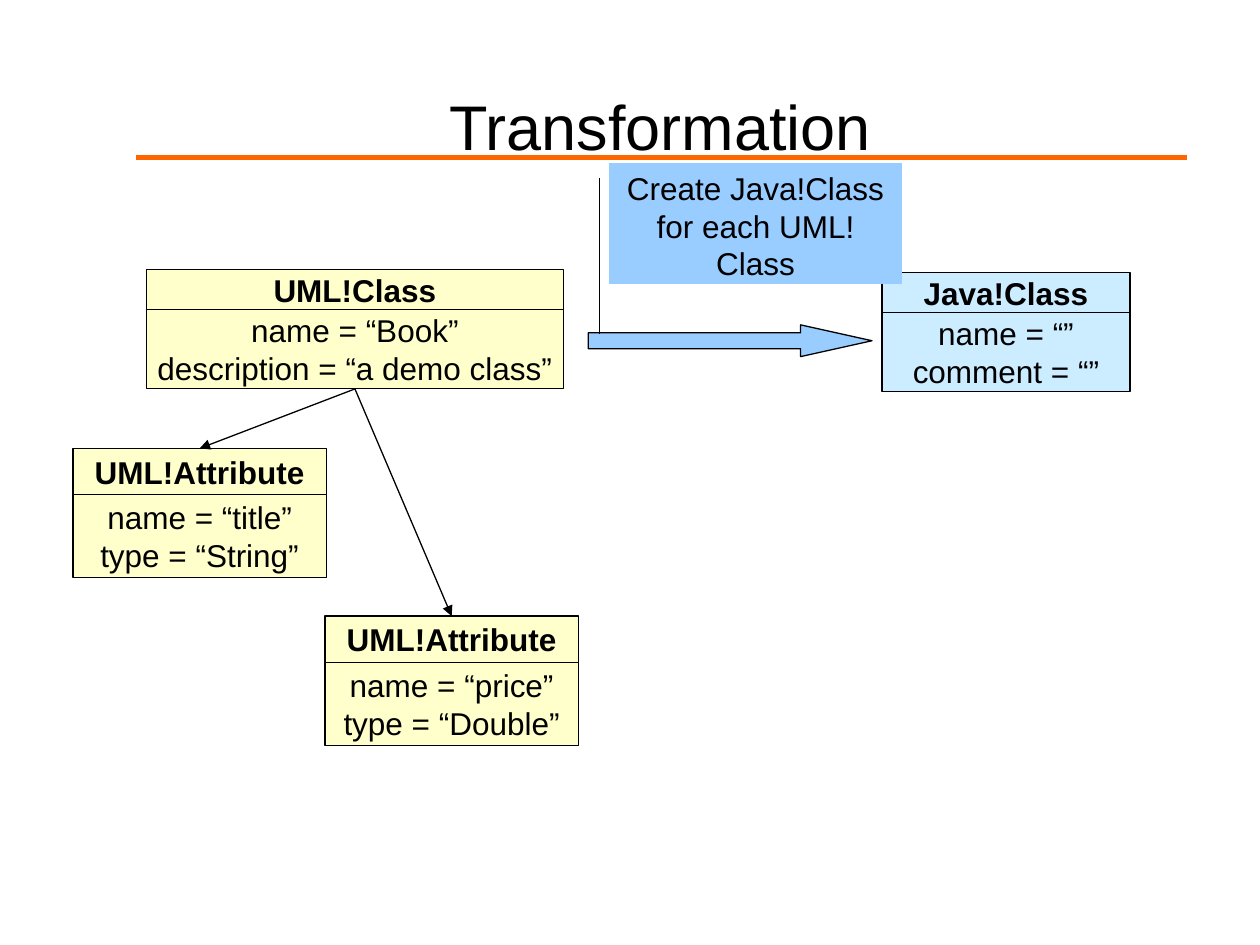
from lxml import etree
from pptx import Presentation
from pptx.dml.color import RGBColor
from pptx.enum.shapes import MSO_CONNECTOR, MSO_SHAPE
from pptx.enum.text import MSO_ANCHOR, PP_ALIGN
from pptx.oxml.ns import qn
from pptx.util import Cm, Pt

THEME = {
    "font": "Arial", "title_size": 36, "body_size": 18,
    "text": "000000", "line": "000000", "rule": "FF6600",
    "source": "FFFFCC", "target": "CCECFF", "action": "99CCFF",
    "thin": 0.75, "thick": 2.75,
}

# Content: lengths in cm; "heights" are the name and attribute compartments
TITLE = "Transformation"
RULE_TEXT = "Create Java!Class for each UML!Class"
JAVA_CLASS = {
    "name": "Java!Class", "slots": ["name = “”", "comment = “”"],
    "left": 17.78, "top": 5.5, "width": 5, "heights": (0.8, 1.6), "fill": "target",
}
UML_CLASS = {
    "name": "UML!Class", "slots": ["name = “Book”", "description = “a demo class”"],
    "left": 2.95, "top": 5.44, "width": 8.41, "heights": (0.8, 1.6), "fill": "source",
}
ATTRIBUTE = {"name": "UML!Attribute", "width": 5.11, "heights": (0.93, 1.68), "fill": "source"}
ATTRIBUTES = [
    {**ATTRIBUTE, "slots": ["name = “title”", "type = “String”"], "left": 1.47, "top": 9.04},
    {**ATTRIBUTE, "slots": ["name = “price”", "type = “Double”"], "left": 6.55, "top": 12.42},
]


def color(key):
    return RGBColor.from_string(THEME[key])


def write(shape, text, size="body_size", bold=False, wrap=True, anchor=MSO_ANCHOR.MIDDLE):
    frame = shape.text_frame
    frame.text = text
    frame.word_wrap = wrap
    frame.vertical_anchor = anchor
    for para in frame.paragraphs:
        para.alignment = PP_ALIGN.CENTER
        for span in para.runs:
            span.font.name = THEME["font"]
            span.font.size = Pt(THEME[size])
            span.font.bold = bold
            span.font.color.rgb = color("text")


def add_box(shapes, kind, left, top, width, height, fill):
    box = shapes.add_shape(kind, Cm(left), Cm(top), Cm(width), Cm(height))
    box.shadow.inherit = False
    box.fill.solid()
    box.fill.fore_color.rgb = color(fill)
    box.line.color.rgb = color("line")
    box.line.width = Pt(THEME["thin"])
    return box


def add_object(page, item):
    """Draw a grouped two-compartment box and return its compartments."""
    shapes = page.shapes.add_group_shape().shapes
    top, boxes = item["top"], []
    for text, height, bold in zip((item["name"], "\n".join(item["slots"])),
                                  item["heights"], (True, False)):
        box = add_box(shapes, MSO_SHAPE.RECTANGLE, item["left"], top,
                      item["width"], height, item["fill"])
        write(box, text, bold=bold, wrap=False)
        boxes.append(box)
        top += height
    return boxes


def add_line(page, left, right, y, line_color, width):
    line = page.shapes.add_connector(MSO_CONNECTOR.STRAIGHT, Cm(left), Cm(y), Cm(right), Cm(y))
    line.line.color.rgb = color(line_color)
    line.line.width = Pt(THEME[width])
    etree.SubElement(line._element.spPr, qn("a:effectLst"))
    return line


def add_link(page, parent, child):
    link = add_line(page, 0, 0, 0, "line", "thin")
    link.begin_connect(parent, 2)
    link.end_connect(child, 0)
    etree.SubElement(link.line._get_or_add_ln(), qn("a:tailEnd"), type="triangle")


def main():
    deck = Presentation()
    deck.slide_width, deck.slide_height = Cm(25.4), Cm(19.05)
    page = deck.slides.add_slide(deck.slide_layouts[5])

    # Title and the rule below it
    title = page.shapes.title
    title.left, title.top, title.width, title.height = Cm(2.31), Cm(1.52), Cm(22), Cm(2.01)
    write(title, TITLE, size="title_size")
    add_line(page, 2.74, 23.93, 3.18, "rule", "thick")

    # Target object, transformation arrow and its callout
    add_object(page, JAVA_CLASS)
    arrow = add_box(page.shapes, MSO_SHAPE.RIGHT_ARROW, 11.86, 6.55, 5.72, 0.64, "action")
    arrow.adjustments[1] = 2.25
    callout = add_box(page.shapes, MSO_SHAPE.LINE_CALLOUT_1_NO_BORDER,
                      12.27, 3.28, 5.92, 2.44, "action")
    # Leader line: start y, start x, end y, end x as shares of the callout
    for index, share in enumerate((0.13, -0.03, 1.42, -0.03)):
        callout.adjustments[index] = share
    write(callout, RULE_TEXT, anchor=MSO_ANCHOR.TOP)

    # Source object with its attributes
    class_body = add_object(page, UML_CLASS)[-1]
    attribute_heads = [add_object(page, item)[0] for item in ATTRIBUTES]
    for head in attribute_heads:
        add_link(page, class_body, head)

    deck.save("out.pptx")


if __name__ == "__main__":
    main()
